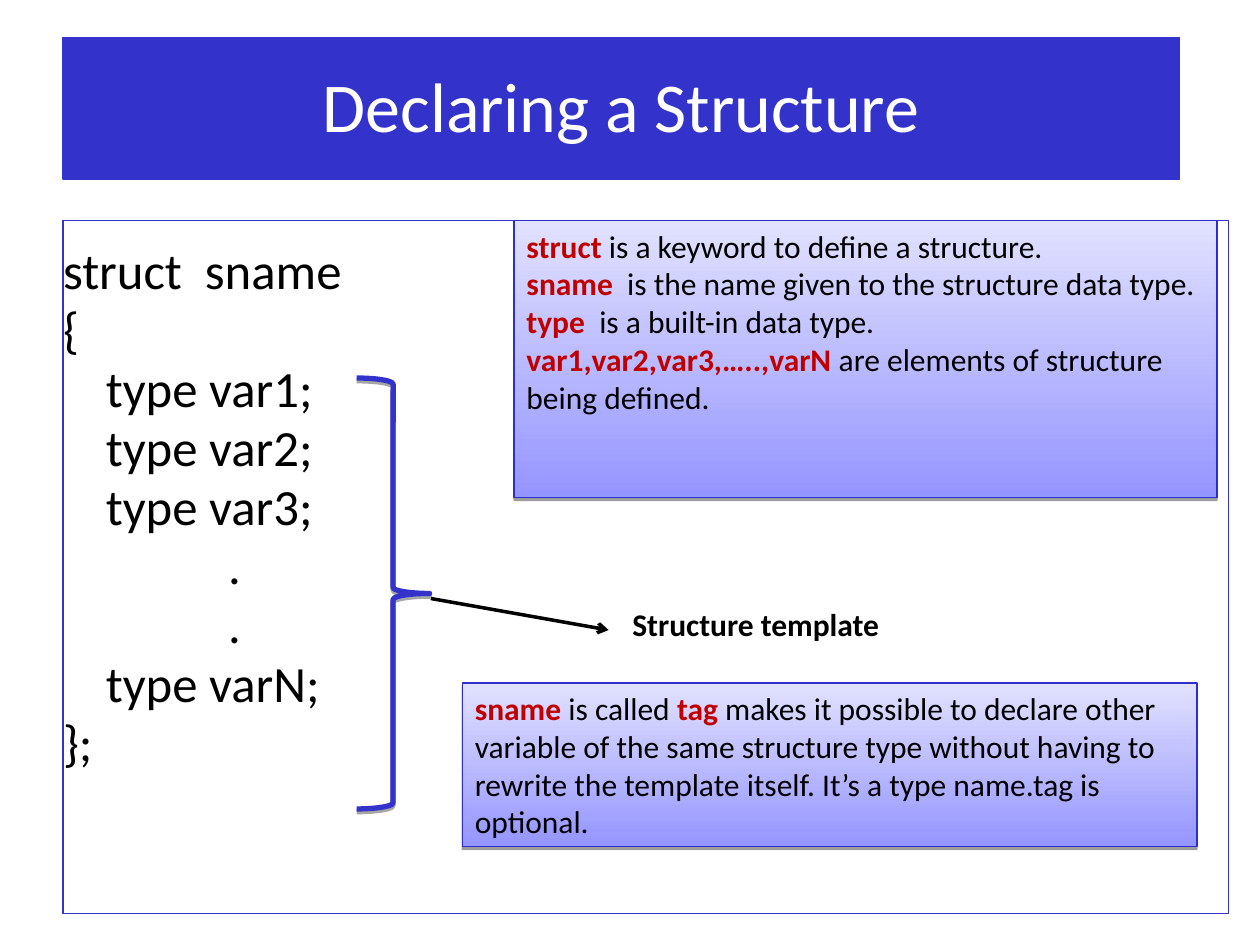
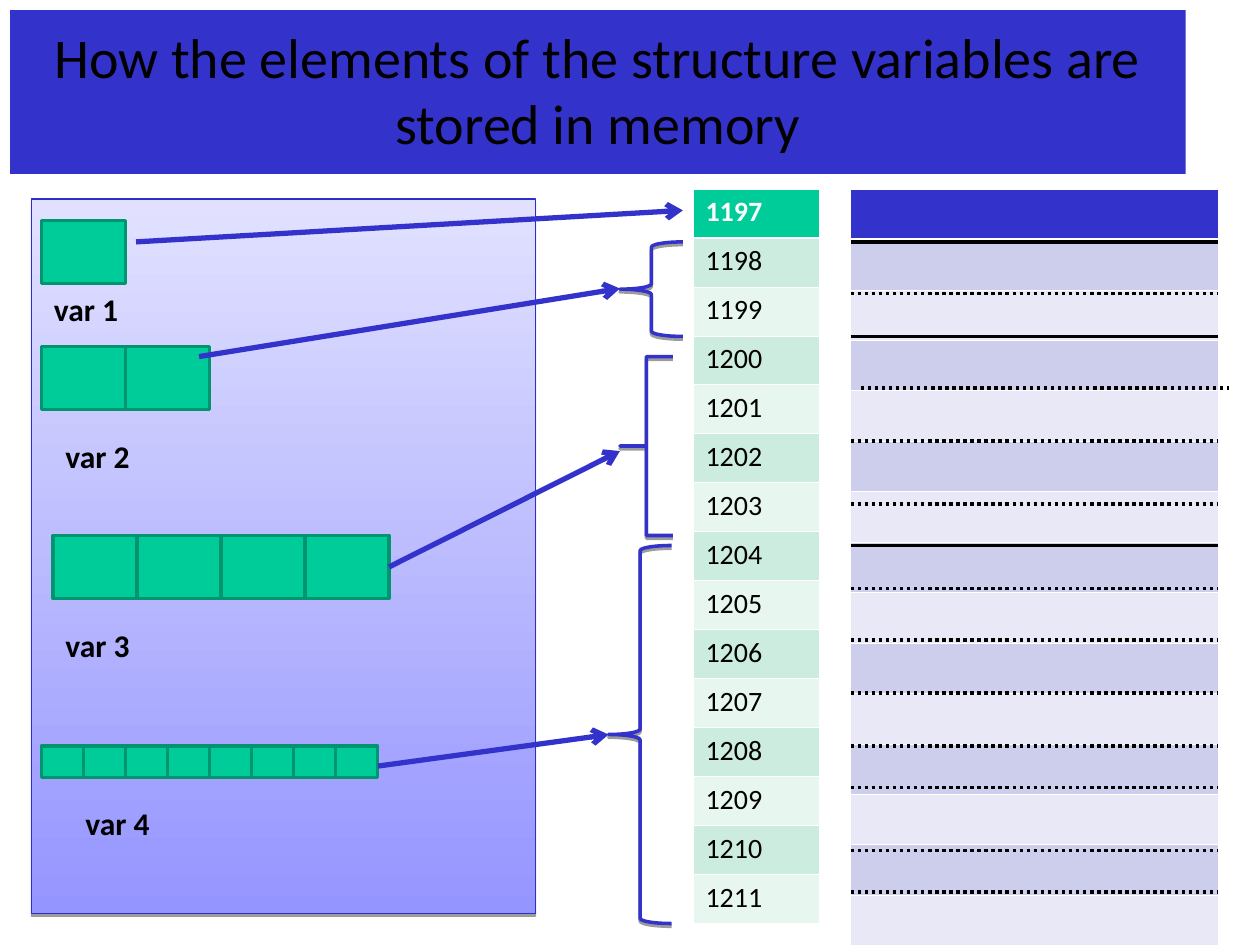
from dataclasses import dataclass

from lxml.etree import SubElement as Sub
from pptx import Presentation
from pptx.dml.color import RGBColor
from pptx.enum.dml import MSO_LINE as Dash
from pptx.enum.shapes import MSO_CONNECTOR as Conn, MSO_SHAPE as Kind
from pptx.enum.text import MSO_ANCHOR as Anchor, PP_ALIGN as Align
from pptx.oxml.ns import qn
from pptx.util import Inches, Pt

# Shared look
FONT = "Calibri"
BLUE, EDGE, RED = "3333CC", "2E2ECB", "C00000"
PALE, DEEP = "E1E1FF", "9595FF"
GREEN, RIM = "00CC99", "00956F"
BLACK, WHITE = "000000", "FFFFFF"
MARGINS = (0.1, 0.05, 0.1, 0.05)


@dataclass
class Box:
    x: float
    y: float
    w: float
    h: float

    def emu(self) -> tuple:
        return tuple(Inches(v) for v in (self.x, self.y, self.w, self.h))


@dataclass
class Var:
    """A row of equal cells that stands for one variable."""
    name: str
    x: float
    y: float
    count: int
    w: float
    h: float
    tag_x: float
    tag_y: float


@dataclass
class Line:
    x1: float
    y1: float
    x2: float
    y2: float
    color: str = BLUE
    width: float = 3
    arrow: bool = True
    dots: bool = False


@dataclass
class Brace:
    box: Box
    kind: Kind = Kind.LEFT_BRACE
    width: float = 2
    curve: float = 0.0833


@dataclass
class Grid:
    box: Box
    texts: list
    head: str
    bands: tuple


VARS = [
    Var("var 1", 0.33, 1.75, 1, 2 / 3, 0.5, 0.33, 2.25),
    Var("var 2", 0.33, 2.75, 2, 2 / 3, 0.5, 0.42, 3.42),
    Var("var 3", 0.42, 4.25, 4, 2 / 3, 0.5, 0.42, 4.92),
    Var("var 4", 0.33, 5.92, 8, 1 / 3, 0.25, 0.58, 6.33),
]
ROWS = 15
GRIDS = [
    Grid(Box(5.5, 1.5, 1, 5.83), [str(1197 + i) for i in range(ROWS)],
         GREEN, ("CBECDE", "E7F6EF")),
    Grid(Box(6.75, 1.5, 2.92, 5.75), [""] * ROWS, BLUE, ("CDCDEC", "E8E8F6")),
]
SOLID = [1.92, 2.67, 4.33]
DOTTED = [2.33, 3.08, 3.5, 4, 4.67, 5.08, 5.5, 5.92, 6.25, 6.75, 7.08]
BRACES = [
    Brace(Box(4.92, 1.92, 0.5, 0.75)),
    Brace(Box(4.92, 2.83, 0.42, 1.42), curve=0),
    Brace(Box(4.83, 4.33, 0.5, 3)),
]
CODE = [
    ("struct  sname", 0), ("{", 0),
    ("type var1;", 0.34), ("type var2;", 0.34), ("type var3;", 0.34),
    (".", 1.31), (".", 1.31),
    ("type varN;", 0.34), ("};", 0),
]
# Words between asterisks are key words
TERMS = [
    "*struct *is a keyword to define a structure.",
    "*sname * is the name given to the structure data type.",
    "*type*  is a built-in data type.",
    "*var1,var2,var3,…..,varN* are elements of structure being defined.",
]
TAG = ["*sname* is called *tag* makes it possible to declare other variable of "
       "the same structure type without having to rewrite the template itself. "
       "It’s a type name.tag is optional."]


def rgb(color: str) -> RGBColor:
    return RGBColor.from_string(color)


def style(par, size: float, color: str = BLACK, bold: bool = False) -> None:
    font = par.font
    font.name, font.size, font.bold = FONT, Pt(size), bold
    font.color.rgb = rgb(color)


def frame(shape, margins: tuple = MARGINS, anchor: Anchor = Anchor.TOP):
    text = shape.text_frame
    text.word_wrap, text.vertical_anchor = True, anchor
    (text.margin_left, text.margin_top,
     text.margin_right, text.margin_bottom) = map(Inches, margins)
    return text


def lines(text, count: int) -> list:
    """Return the given number of paragraphs of a text frame."""
    return [text.paragraphs[0]] + [text.add_paragraph() for _ in range(count - 1)]


def shape(slide, box: Box, fill: str = "", edge: str = "", width: float = 0.75,
          kind: Kind = Kind.RECTANGLE):
    item = slide.shapes.add_shape(kind, *box.emu())
    item.shadow.inherit = False
    if fill:
        item.fill.solid()
        item.fill.fore_color.rgb = rgb(fill)
    else:
        item.fill.background()
    if edge:
        item.line.color.rgb = rgb(edge)
        item.line.width = Pt(width)
    else:
        item.line.fill.background()
    return item


def shade(item, alpha: int = 38) -> None:
    """Drop a sharp shadow straight below the shape."""
    effects = item._element.spPr.find(qn("a:effectLst"))
    drop = Sub(effects, qn("a:outerShdw"), blurRad="0", dist=str(Pt(1.6)),
               dir="5400000", rotWithShape="0")
    tint = Sub(drop, qn("a:srgbClr"), val=BLACK)
    Sub(tint, qn("a:alpha"), val=str(alpha * 1000))


def panel(slide, box: Box):
    item = shape(slide, box, PALE, EDGE)
    item.fill.gradient()
    item.fill.gradient_angle = 90
    for stop, color in zip(item.fill.gradient_stops, (DEEP, PALE)):
        stop.color.rgb = rgb(color)
    shade(item)
    return item


def note(slide, box: Box, texts: list) -> None:
    text = frame(panel(slide, box))
    for par, words in zip(lines(text, len(texts)), texts):
        par.alignment = Align.LEFT
        par.font.name, par.font.size = FONT, Pt(18)
        for i, part in enumerate(words.split("*")):
            if part:
                run = par.add_run()
                run.text = part
                run.font.bold = i % 2 == 1
                run.font.color.rgb = rgb(RED if i % 2 else BLACK)


def title(slide, box: Box, words: str, size: float, color: str,
          edge: str = "") -> None:
    text = frame(shape(slide, box, BLUE, edge), (0.09, 0.05, 0.09, 0.05),
                 Anchor.MIDDLE)
    par = text.paragraphs[0]
    par.text, par.alignment, par.line_spacing = words, Align.CENTER, 0.97
    style(par, size, color)


def label(slide, box: Box, words: str) -> None:
    par = frame(slide.shapes.add_textbox(*box.emu())).paragraphs[0]
    par.text = words
    style(par, 18, bold=True)


def code(slide, box: Box) -> None:
    text = frame(shape(slide, box, edge=BLUE), (0, 0.17, 0, 0))
    for par, (words, indent) in zip(lines(text, len(CODE)), CODE):
        par.text, par.alignment, par.line_spacing = words, Align.LEFT, 0.97
        par._p.get_or_add_pPr().set("marL", str(Inches(indent)))
        style(par, 29)


def brace(slide, spec_: Brace, alpha: int = 38) -> None:
    item = shape(slide, spec_.box, edge=BLUE, width=spec_.width, kind=spec_.kind)
    item.adjustments[0] = spec_.curve
    shade(item, alpha)


def draw(slide, line: Line):
    ends = (Inches(v) for v in (line.x1, line.y1, line.x2, line.y2))
    item = slide.shapes.add_connector(Conn.STRAIGHT, *ends)
    item.line.color.rgb = rgb(line.color)
    item.line.width = Pt(line.width)
    if line.dots:
        item.line.dash_style = Dash.ROUND_DOT
    if line.arrow:
        Sub(item.line._get_or_add_ln(), qn("a:tailEnd"), type="arrow")
    Sub(item._element.spPr, qn("a:effectLst"))
    return item


def border(cell, row: int) -> None:
    heavy = {0: "lnB", 1: "lnT"}.get(row)
    for side in ("lnL", "lnR", "lnT", "lnB"):
        width = Pt(1.47 if side == heavy else 0.45)
        edge = Sub(cell._tc.get_or_add_tcPr(), qn("a:" + side), w=str(width))
        Sub(Sub(edge, qn("a:solidFill")), qn("a:srgbClr"), val=WHITE)


def table(slide, grid: Grid) -> None:
    count = len(grid.texts)
    body = slide.shapes.add_table(count, 1, *grid.box.emu()).table
    for i, words in enumerate(grid.texts):
        body.rows[i].height = Inches(grid.box.h / count)
        cell = body.cell(i, 0)
        border(cell, i)
        cell.fill.solid()
        cell.fill.fore_color.rgb = rgb(grid.bands[(i - 1) % 2] if i else grid.head)
        if words:
            cell.text = words
            style(cell.text_frame.paragraphs[0], 16, BLACK if i else WHITE, i == 0)


def declare(slide) -> None:
    title(slide, Box(0.5, 0.3, 8.86, 1.12), "Declaring a Structure", 40, WHITE, BLUE)
    code(slide, Box(0.5, 1.75, 9.25, 5.5))
    note(slide, Box(4.08, 1.75, 5.58, 2.2), TERMS)
    brace(slide, Brace(Box(2.83, 3, 0.58, 3.42), Kind.RIGHT_BRACE, 3), 35)
    draw(slide, Line(3.42, 4.75, 4.83, 5, BLACK, 2))
    label(slide, Box(4.92, 4.75, 2.25, 0.4), "Structure template")
    note(slide, Box(3.67, 5.42, 5.83, 1.3), TAG)


def memory(slide) -> None:
    title(slide, Box(0.08, 0.08, 9.33, 1.3),
          "How the elements of the structure variables are stored in memory",
          32, BLACK)
    # Variables and their cells
    panel(slide, Box(0.25, 1.58, 4, 5.67))
    last = {}
    for var in VARS:
        for i in range(var.count):
            last[var.name] = shape(
                slide, Box(var.x + i * var.w, var.y, var.w, var.h), GREEN, RIM, 2)
        label(slide, Box(var.tag_x, var.tag_y, 0.75, 0.4), var.name)
    # Addresses and memory
    for grid in GRIDS:
        table(slide, grid)
    for y in SOLID + DOTTED:
        x = 6.83 if y == 3.08 else 6.75
        draw(slide, Line(x, y, x + 2.92, y, BLACK, 2, False, y in DOTTED))
    # Links from variables to addresses
    for item in BRACES:
        brace(slide, item)
    draw(slide, Line(1.08, 1.92, 5.42, 1.67))
    draw(slide, Line(1.58, 2.83, 4.92, 2.29))
    draw(slide, Line(3.08, 4.5, 4.92, 3.58)).begin_connect(last["var 3"], 3)
    draw(slide, Line(3, 6.08, 4.83, 5.83))


def main() -> None:
    deck = Presentation()
    deck.slide_width, deck.slide_height = Inches(10), Inches(7.5)
    for build in (declare, memory):
        build(deck.slides.add_slide(deck.slide_layouts[6]))
    deck.save("out.pptx")


if __name__ == "__main__":
    main()
